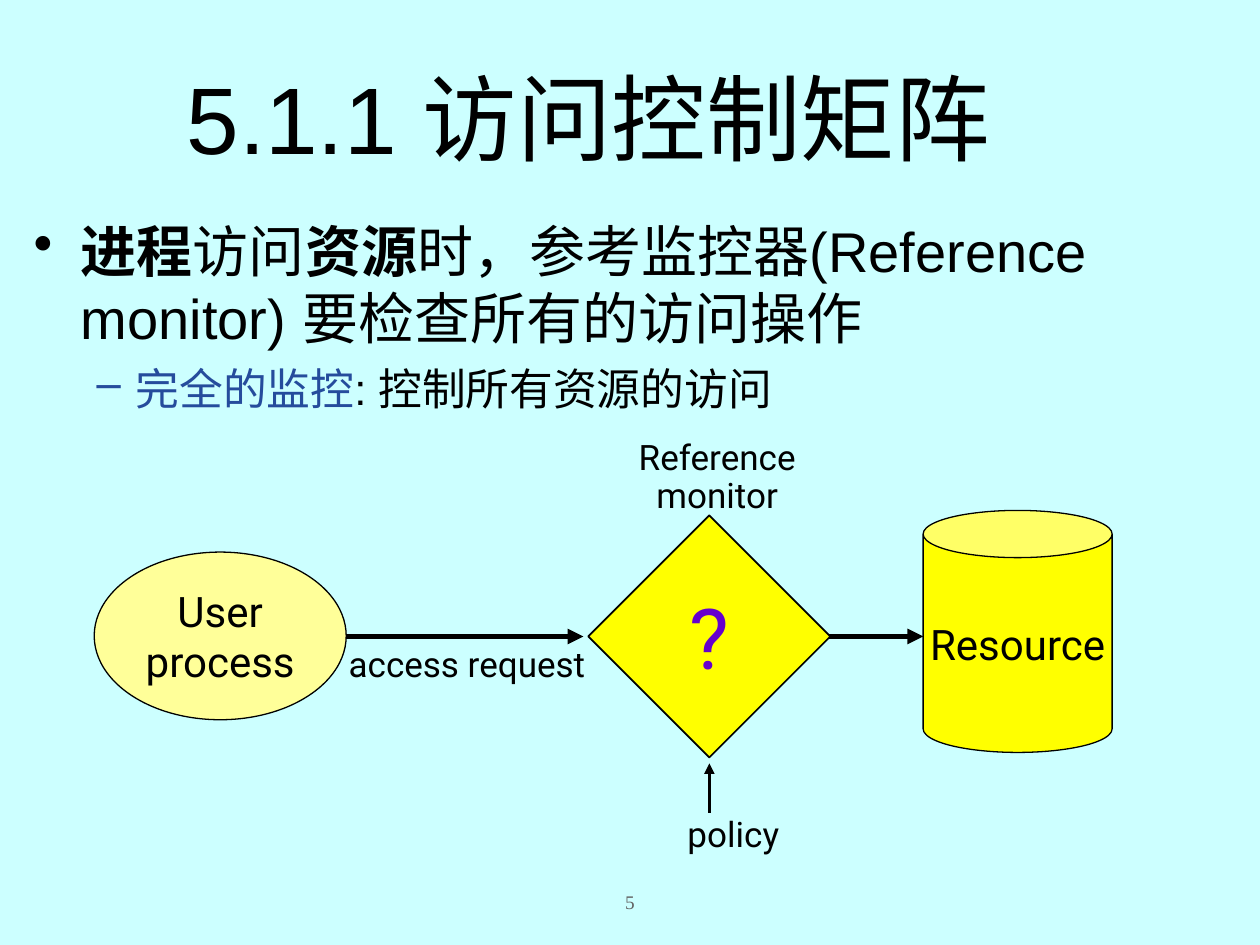
from lxml.etree import SubElement
from pptx import Presentation
from pptx.dml.color import RGBColor
from pptx.enum.shapes import MSO_CONNECTOR, MSO_SHAPE
from pptx.enum.text import MSO_ANCHOR, PP_ALIGN
from pptx.oxml.ns import qn
from pptx.util import Cm, Pt

HUES = {
    "sky": "CCFFFF", "black": "000000", "blue": "254C9C", "grey": "636363",
    "yellow": "FFFF00", "cream": "FFFF99", "violet": "6600CC",
}


def tint(name):
    """Return the named colour."""
    return RGBColor.from_string(HUES[name])


def style(para, size, face="Roboto", hue="black", align=PP_ALIGN.CENTER, gap=0):
    """Set the font, alignment and space before of a paragraph."""
    para.font.size, para.font.name = Pt(size), face
    para.font.color.rgb = tint(hue)
    para.alignment, para.space_before = align, Pt(gap)


def add_text(slide, box, text="", wrap=True, anchor=MSO_ANCHOR.TOP, **look):
    """Add a text box, one paragraph per line, and return its frame."""
    frame = slide.shapes.add_textbox(*map(Cm, box)).text_frame
    frame.word_wrap, frame.vertical_anchor = wrap, anchor
    frame.text = text
    if look:
        for para in frame.paragraphs:
            style(para, **look)
    return frame


def add_node(slide, kind, box, text, fill, width=0.75, wrap=False, **look):
    """Add an outlined shape with a centred label."""
    node = slide.shapes.add_shape(kind, *map(Cm, box))
    node.shadow.inherit = False
    node.fill.solid()
    node.fill.fore_color.rgb = tint(fill)
    node.line.color.rgb, node.line.width = tint("black"), Pt(width)
    frame = node.text_frame
    frame.text, frame.word_wrap = text, wrap
    frame.vertical_anchor = MSO_ANCHOR.MIDDLE
    style(frame.paragraphs[0], **look)
    return node


def add_arrow(slide, start, end, width):
    """Add a straight arrow between two points."""
    link = slide.shapes.add_connector(MSO_CONNECTOR.STRAIGHT, *map(Cm, start + end))
    link.line.color.rgb, link.line.width = tint("black"), Pt(width)
    SubElement(link.line._get_or_add_ln(), qn("a:tailEnd"), type="triangle")
    SubElement(link._element.spPr, qn("a:effectLst"))


def add_point(para, runs, mark, hue, left, hang, size, gap):
    """Fill a bulleted paragraph with (text, bold, colour) runs."""
    style(para, size, "Arial", align=PP_ALIGN.LEFT, gap=gap)
    for text, bold, shade in runs:
        run = para.add_run()
        run.text, run.font.bold = text, bold
        run.font.color.rgb = tint(shade)
    props = para._p.get_or_add_pPr()
    props.set("marL", str(Cm(left)))
    props.set("indent", str(-Cm(hang)))
    colour = props.makeelement(qn("a:buClr"), {})
    SubElement(colour, qn("a:srgbClr"), val=HUES[hue])
    bullet = props.makeelement(qn("a:buChar"), {"char": mark})
    spot = props.index(props.find(qn("a:spcBef"))) + 1
    props[spot:spot] = [colour, bullet]


def add_body(slide, box):
    """Add the two levels of bullet text."""
    frame = add_text(slide, box)
    add_point(frame.paragraphs[0], [
        ("进程", True, "black"), ("访问", False, "black"), ("资源", True, "black"),
        ("时，参考监控器(Reference monitor) 要检查所有的访问操作", False, "black"),
    ], "•", "black", 0.95, 0.95, 32, 8)
    add_point(frame.add_paragraph(), [
        ("完全的监控", False, "blue"), (": 控制所有资源的访问", False, "black"),
    ], "–", "blue", 2.06, 0.79, 25, 6.2)


def add_flow(slide, box):
    """Draw the path from process through monitor to resource."""
    left, top = box[:2]

    def at(x, y, *size):
        """Shift a place into the box."""
        return (left + x, top + y, *size)

    mid, axis = 3.94, 12.4
    can = add_node(slide, MSO_SHAPE.CAN, at(16.71, 1.4, 3.81, 4.88),
                   "Resource", "yellow", size=24, gap=6)
    can.adjustments[0] = 0.25
    add_node(slide, MSO_SHAPE.OVAL, at(0, 2.24, 5.08, 3.38),
             "User process", "cream", wrap=True, size=24, gap=6)
    for start, end in ((5.08, 9.86), (14.17, 16.71)):
        add_arrow(slide, at(start, mid), at(end, mid), 3)
    label = add_text(slide, at(10.64, 0, 3.84, 1.63), "Reference\nmonitor",
                     wrap=False, size=20, gap=5)
    for para in label.paragraphs:
        para.line_spacing = 0.7
    for text, x, y in (("access request", 4.88, mid), ("policy", 11.71, 7.37)):
        add_text(slide, at(x, y, 6.3, 1.12), text, size=20, align=PP_ALIGN.LEFT)
    add_node(slide, MSO_SHAPE.DIAMOND, at(axis - 2.44, mid - 2.44, 4.88, 4.88),
             "?", "yellow", width=1, size=48, hue="violet")
    add_arrow(slide, at(axis, 7.49), at(axis, 6.5), 1.5)


def main():
    """Build and save the slide."""
    deck = Presentation()
    deck.slide_width, deck.slide_height = Cm(25.4), Cm(19.05)
    slide = deck.slides.add_slide(deck.slide_layouts[6])
    slide.background.fill.solid()
    slide.background.fill.fore_color.rgb = tint("sky")
    add_text(slide, (0.43, 0.76, 22.86, 3.18), "5.1.1 访问控制矩阵",
             anchor=MSO_ANCHOR.MIDDLE, size=54, face="Arial")
    add_body(slide, (0.43, 4.24, 24.77, 4.67))
    add_text(slide, (11.43, 17.78, 2.54, 0.79), "5", anchor=MSO_ANCHOR.MIDDLE,
             size=11, face="Times New Roman", hue="grey")
    add_flow(slide, (1.9, 8.89, 20.53, 8.48))
    deck.save("out.pptx")


if __name__ == "__main__":
    main()
